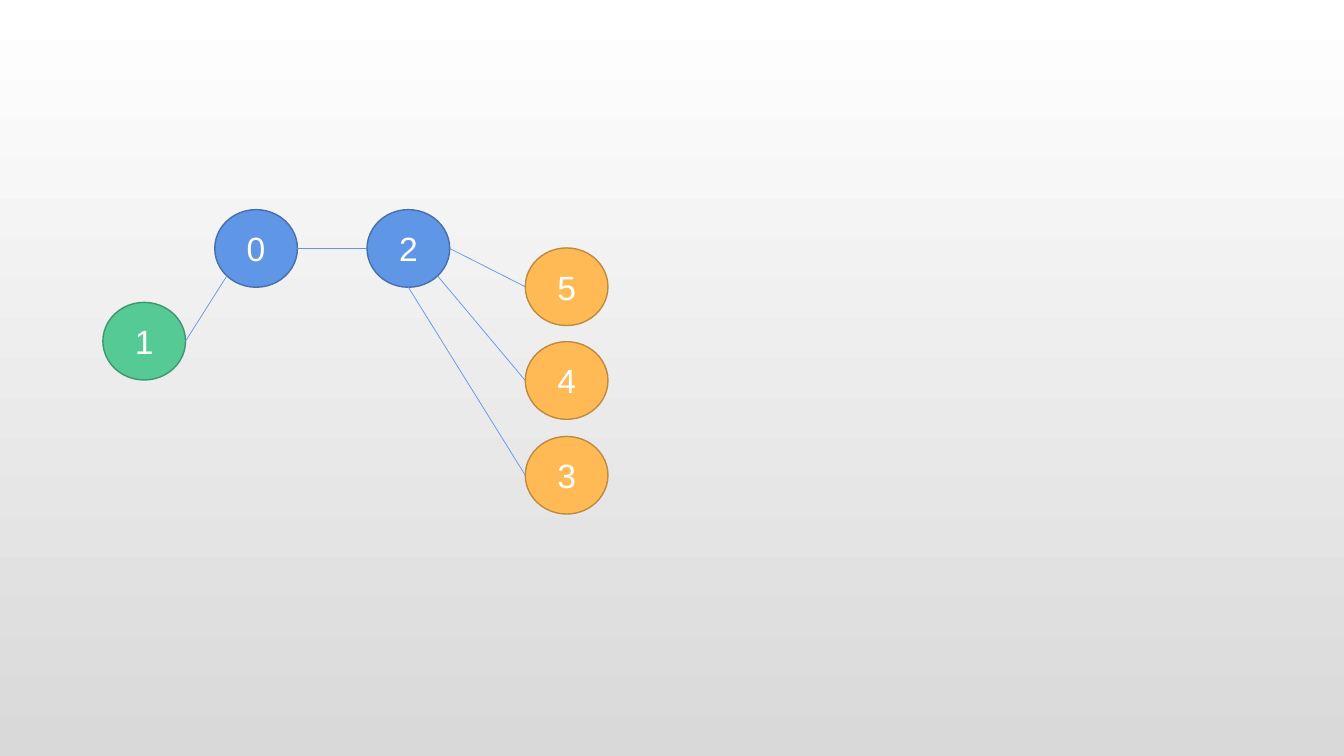
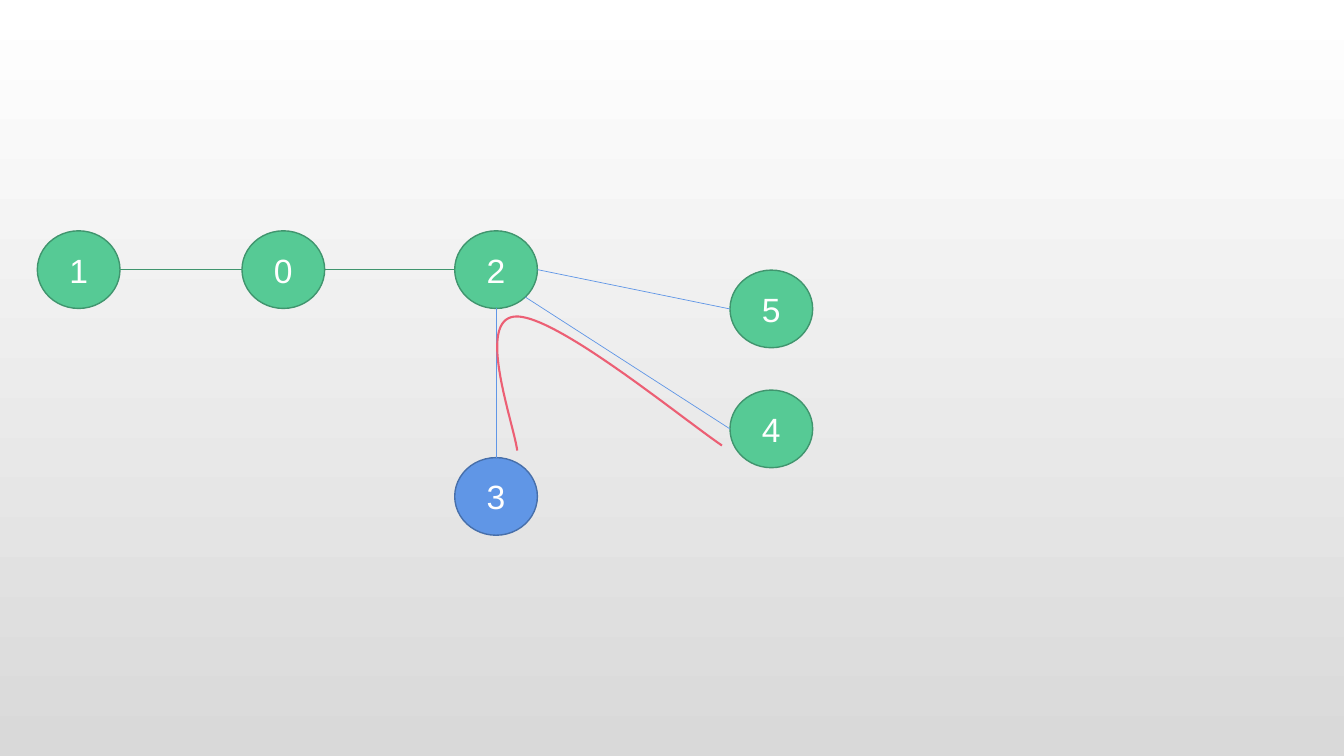
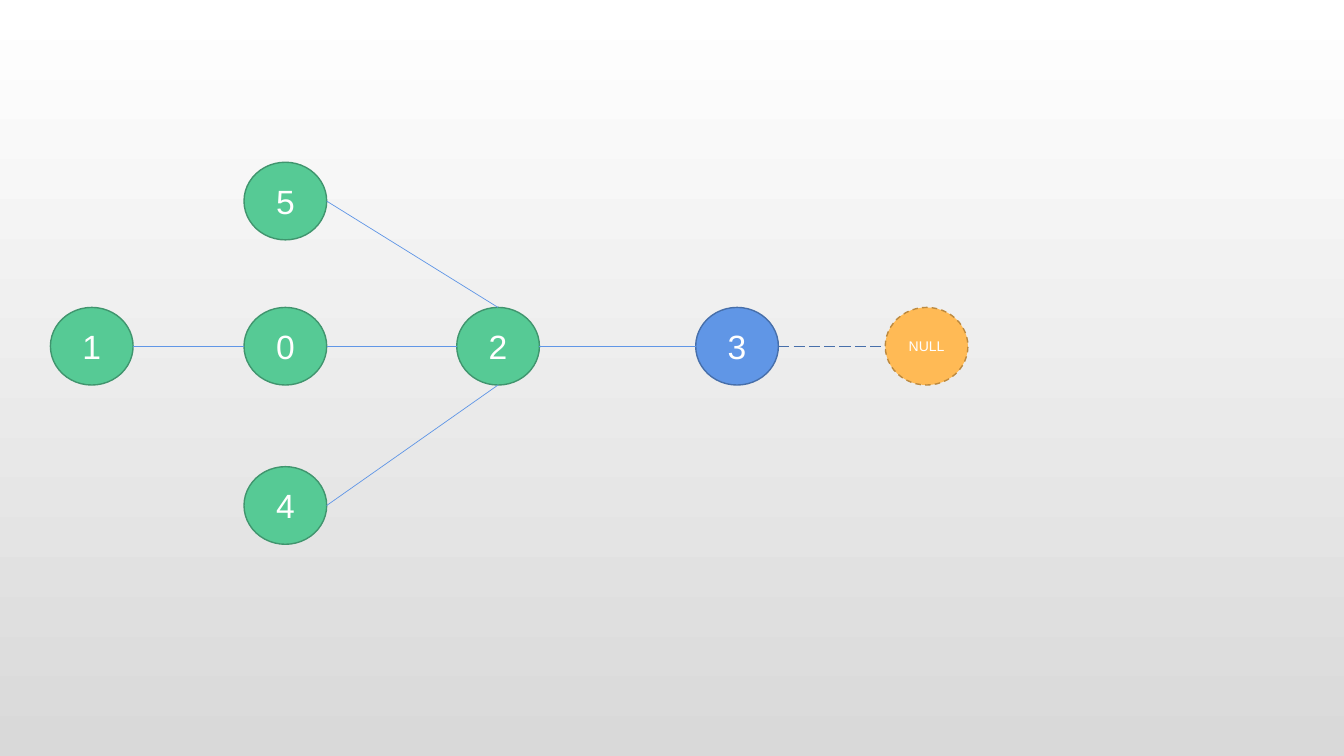
from dataclasses import dataclass
from enum import IntEnum
from math import cos, radians, sin
from typing import Optional

from lxml import etree
from pptx import Presentation
from pptx.dml.color import RGBColor
from pptx.enum.dml import MSO_LINE
from pptx.enum.shapes import MSO_CONNECTOR, MSO_SHAPE
from pptx.enum.text import MSO_ANCHOR, PP_ALIGN
from pptx.oxml.ns import qn
from pptx.util import Inches, Pt

ELLIPSE = MSO_SHAPE.OVAL
STRAIGHT = MSO_CONNECTOR.STRAIGHT
DASH, LONG_DASH = MSO_LINE.DASH, MSO_LINE.LONG_DASH
CENTER, MIDDLE = PP_ALIGN.CENTER, MSO_ANCHOR.MIDDLE

FONT = "Arial"
NODE_WIDTH, NODE_HEIGHT = 0.82, 0.77
CURVE_STEPS = 40
BLANK_LAYOUT = 6
COLORS = {
    "background_top": "FFFFFF",
    "background_bottom": "D9D9D9",
    "text": "FFFFFF",
    "blue": "6096E6",
    "blue_line": "476FAA",
    "green": "56CA95",
    "green_line": "40956E",
    "orange": "FFBA55",
    "orange_line": "BD8A3F",
    "red": "EC5F74",
}

Point = tuple[float, float]


class Site(IntEnum):
    """Connection sites of an ellipse, counterclockwise from the top."""

    TOP = 0
    TOP_LEFT = 1
    LEFT = 2
    BOTTOM_LEFT = 3
    BOTTOM = 4
    BOTTOM_RIGHT = 5
    RIGHT = 6
    TOP_RIGHT = 7


@dataclass(frozen=True)
class Node:
    label: str
    left: float
    top: float
    color: str
    text_size: int = 24
    dash: Optional[MSO_LINE] = None

    def site_position(self, site: Site) -> Point:
        angle = radians(90 + 45 * site)
        return (
            self.left + NODE_WIDTH / 2 * (1 + cos(angle)),
            self.top + NODE_HEIGHT / 2 * (1 - sin(angle)),
        )


@dataclass(frozen=True)
class Edge:
    start: str
    start_site: Site
    end: str
    end_site: Site
    color: str = "blue"
    width: float = 0.5
    dash: Optional[MSO_LINE] = None


@dataclass(frozen=True)
class Graph:
    nodes: list[Node]
    edges: list[Edge]
    curve: tuple[tuple[Point, Point, Point, Point], ...] = ()


GRAPHS = [
    Graph(
        nodes=[
            Node("0", 2.13, 2.08, "blue"),
            Node("1", 1.02, 3, "green"),
            Node("2", 3.64, 2.08, "blue"),
            Node("3", 5.21, 4.33, "orange"),
            Node("4", 5.21, 3.39, "orange"),
            Node("5", 5.21, 2.46, "orange"),
        ],
        edges=[
            Edge("0", Site.BOTTOM_LEFT, "1", Site.RIGHT),
            Edge("0", Site.RIGHT, "2", Site.LEFT),
            Edge("2", Site.BOTTOM, "3", Site.LEFT),
            Edge("2", Site.RIGHT, "5", Site.LEFT),
            Edge("2", Site.BOTTOM_RIGHT, "4", Site.LEFT),
        ],
    ),
    Graph(
        nodes=[
            Node("0", 2.4, 2.29, "green"),
            Node("1", 0.37, 2.29, "green"),
            Node("2", 4.51, 2.29, "green"),
            Node("3", 4.51, 4.54, "blue"),
            Node("4", 7.24, 3.87, "green"),
            Node("5", 7.24, 2.68, "green"),
        ],
        edges=[
            Edge("0", Site.LEFT, "1", Site.RIGHT, "green_line", 1),
            Edge("0", Site.RIGHT, "2", Site.LEFT, "green_line", 1),
            Edge("2", Site.BOTTOM, "3", Site.TOP),
            Edge("2", Site.RIGHT, "5", Site.LEFT),
            Edge("2", Site.BOTTOM_RIGHT, "4", Site.LEFT),
        ],
        curve=(
            ((5.13, 4.47), (5.09, 4.18), (4.71, 3.15), (5.12, 3.14)),
            ((5.12, 3.14), (5.52, 3.13), (6.75, 4.14), (7.16, 4.42)),
        ),
    ),
    Graph(
        nodes=[
            Node("0", 2.42, 3.05, "green"),
            Node("1", 0.5, 3.05, "green"),
            Node("2", 4.53, 3.05, "green"),
            Node("3", 6.9, 3.05, "blue"),
            Node("4", 2.42, 4.63, "green"),
            Node("5", 2.42, 1.61, "green"),
            Node("NULL", 8.78, 3.05, "orange", 10, DASH),
        ],
        edges=[
            Edge("0", Site.LEFT, "1", Site.RIGHT),
            Edge("0", Site.RIGHT, "2", Site.LEFT),
            Edge("2", Site.RIGHT, "3", Site.LEFT),
            Edge("2", Site.TOP, "5", Site.RIGHT),
            Edge("2", Site.BOTTOM, "4", Site.RIGHT),
            Edge("3", Site.RIGHT, "NULL", Site.LEFT, "blue_line", 1, LONG_DASH),
        ],
    ),
]


def rgb(name: str) -> RGBColor:
    return RGBColor.from_string(COLORS[name])


def format_line(line, color: str, width: float, dash: Optional[MSO_LINE] = None) -> None:
    line.color.rgb = rgb(color)
    line.width = Pt(width)
    if dash is not None:
        line.dash_style = dash


def set_background(master) -> None:
    fill = master.background.fill
    fill.gradient()
    fill.gradient_angle = 270
    for stop, color in zip(fill.gradient_stops, ("background_top", "background_bottom")):
        stop.color.rgb = rgb(color)


def add_node(slide, node: Node):
    shape = slide.shapes.add_shape(
        ELLIPSE, Inches(node.left), Inches(node.top), Inches(NODE_WIDTH), Inches(NODE_HEIGHT)
    )
    shape.shadow.inherit = False
    shape.fill.solid()
    shape.fill.fore_color.rgb = rgb(node.color)
    format_line(shape.line, f"{node.color}_line", 1, node.dash)

    frame = shape.text_frame
    frame.margin_left = frame.margin_right = Inches(0)
    frame.vertical_anchor = MIDDLE
    paragraph = frame.paragraphs[0]
    paragraph.alignment = CENTER
    run = paragraph.add_run()
    run.text = node.label
    run.font.name = FONT
    run.font.size = Pt(node.text_size)
    run.font.color.rgb = rgb("text")
    return shape


def add_edge(slide, edge: Edge, nodes: dict[str, Node], shapes: dict) -> None:
    """Draw a straight connector and attach both of its ends to the nodes."""
    start = nodes[edge.start].site_position(edge.start_site)
    end = nodes[edge.end].site_position(edge.end_site)
    connector = slide.shapes.add_connector(STRAIGHT, *map(Inches, start + end))
    format_line(connector.line, edge.color, edge.width, edge.dash)
    element = connector._element
    etree.SubElement(element.spPr, qn("a:effectLst"))
    properties = element.find(".//" + qn("p:cNvCxnSpPr"))
    for tag, label, site in (
        ("a:stCxn", edge.start, edge.start_site),
        ("a:endCxn", edge.end, edge.end_site),
    ):
        etree.SubElement(
            properties, qn(tag), id=str(shapes[label].shape_id), idx=str(site.value)
        )


def bezier_point(controls: tuple[Point, Point, Point, Point], t: float) -> Point:
    weights = ((1 - t) ** 3, 3 * t * (1 - t) ** 2, 3 * t**2 * (1 - t), t**3)
    x, y = (
        sum(weight * control[axis] for weight, control in zip(weights, controls))
        for axis in (0, 1)
    )
    return x, y


def add_curve(slide, segments: tuple[tuple[Point, Point, Point, Point], ...]) -> None:
    points = [
        tuple(map(Inches, bezier_point(segment, step / CURVE_STEPS)))
        for segment in segments
        for step in range(1, CURVE_STEPS + 1)
    ]
    builder = slide.shapes.build_freeform(*map(Inches, segments[0][0]))
    builder.add_line_segments(points, close=False)
    shape = builder.convert_to_shape()
    shape.shadow.inherit = False
    shape.fill.background()
    format_line(shape.line, "red", 1.5)


def add_graph(slide, graph: Graph) -> None:
    nodes = {node.label: node for node in graph.nodes}
    shapes = {node.label: add_node(slide, node) for node in graph.nodes}
    for edge in graph.edges:
        add_edge(slide, edge, nodes, shapes)
    if graph.curve:
        add_curve(slide, graph.curve)


def main() -> None:
    presentation = Presentation()
    presentation.slide_width = Inches(13.33)
    presentation.slide_height = Inches(7.5)
    set_background(presentation.slide_master)
    layout = presentation.slide_layouts[BLANK_LAYOUT]
    for graph in GRAPHS:
        add_graph(presentation.slides.add_slide(layout), graph)
    presentation.save("out.pptx")


if __name__ == "__main__":
    main()
